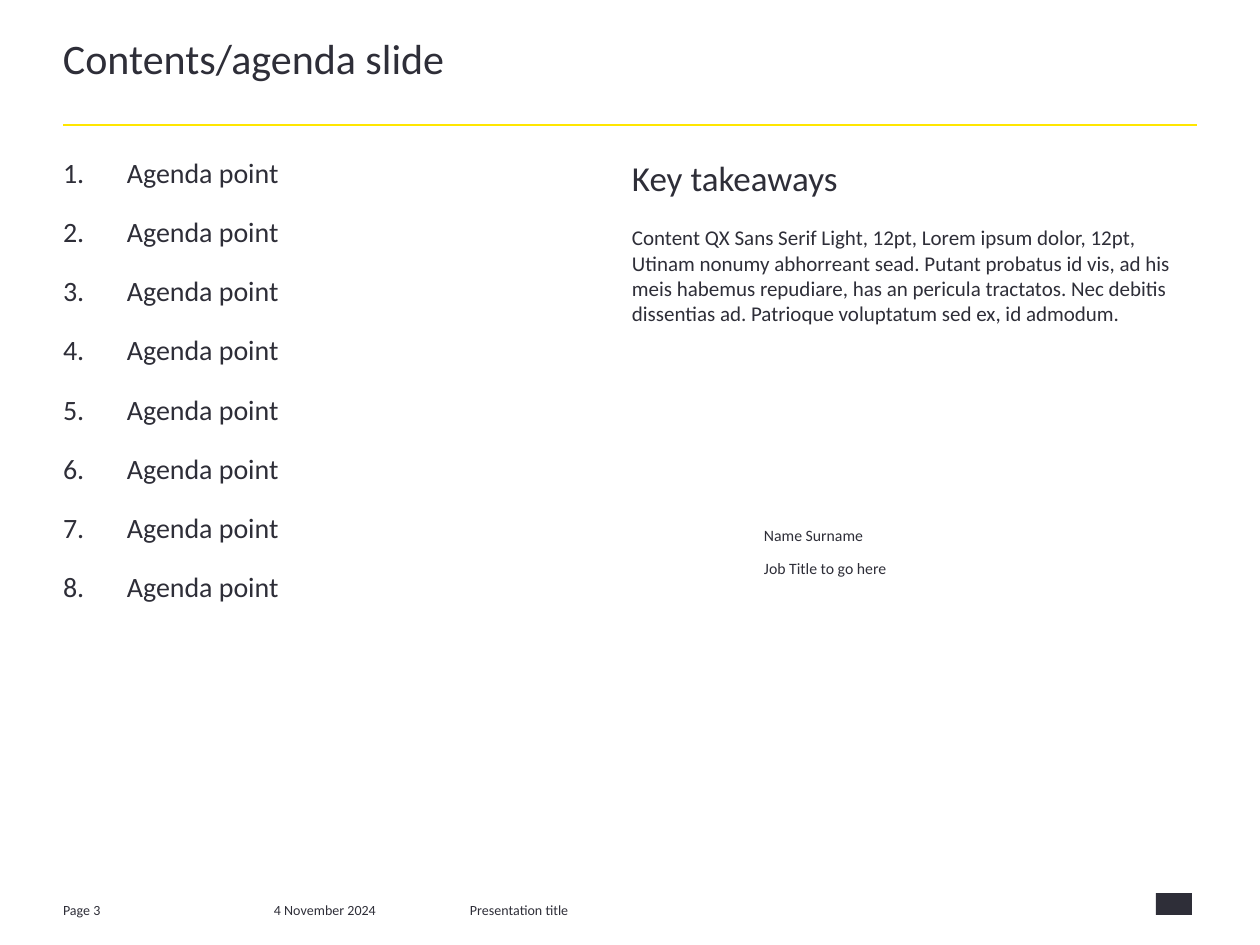
import pptx
import pptx.dml.color
import pptx.enum.shapes
import pptx.enum.text
import pptx.oxml.ns
import pptx.util
from lxml import etree

INK = pptx.dml.color.RGBColor(0x2E, 0x2E, 0x38)
YELLOW = pptx.dml.color.RGBColor(0xFF, 0xE6, 0x00)
FONT = "Calibri"
PX_PER_INCH = 126
MARGIN = 63
CONTENT_WIDTH = 1134
FOOTER_INSET = 13
PLAIN_TABLE_STYLE = "{2D5ABB26-0587-4C30-8999-92F81FD0307C}"
AGENDA = ["Agenda point"] * 8
TAKEAWAYS = (
    "Content QX Sans Serif Light, 12pt, Lorem ipsum dolor, 12pt, "
    "Utinam nonumy abhorreant sead. Putant probatus id vis, ad his "
    "meis habemus repudiare, has an pericula tractatos. Nec debitis "
    "dissentias ad. Patrioque voluptatum sed ex, id admodum."
)


def px(length):
    return pptx.util.Emu(round(length * 914400 / PX_PER_INCH))


def style_paragraph(paragraph, size):
    paragraph.font.name = FONT
    paragraph.font.size = pptx.util.Pt(size)
    paragraph.font.color.rgb = INK


def remove_margins(target):
    target.margin_left = target.margin_right = 0
    target.margin_top = target.margin_bottom = 0


def add_text(slide, left, top, width, height, text, size):
    shape = slide.shapes.add_textbox(px(left), px(top), px(width), px(height))
    frame = shape.text_frame
    frame.word_wrap = True
    remove_margins(frame)
    paragraph = frame.paragraphs[0]
    paragraph.text = text
    style_paragraph(paragraph, size)
    return frame


def add_header(slide, left, top, width):
    title = add_text(slide, left, top, width, 82, "Contents/agenda slide", 24)
    title.paragraphs[0].line_spacing = 0.85
    rule = slide.shapes.add_connector(
        pptx.enum.shapes.MSO_CONNECTOR.STRAIGHT,
        px(left), px(top + 85), px(left + width), px(top + 85),
    )
    rule.line.color.rgb = YELLOW
    rule.line.width = pptx.util.Pt(1.5)
    properties = rule._element.spPr
    etree.SubElement(properties, pptx.oxml.ns.qn("a:effectLst"))


def add_agenda(slide, left, top, width, height):
    number_width = 64
    frame = slide.shapes.add_table(
        len(AGENDA), 2, px(left), px(top), px(width), px(height)
    )
    table = frame.table
    table.first_row = False
    table.horz_banding = False
    style_id = table._tbl.tblPr.find(pptx.oxml.ns.qn("a:tableStyleId"))
    style_id.text = PLAIN_TABLE_STYLE
    table.columns[0].width = px(number_width)
    table.columns[1].width = px(width - number_width)
    for index, point in enumerate(AGENDA):
        table.rows[index].height = px(height / len(AGENDA))
        for column, text in enumerate((f"{index + 1}.", point)):
            cell = table.cell(index, column)
            cell.fill.background()
            remove_margins(cell)
            cell.text = text
            style_paragraph(cell.text_frame.paragraphs[0], 16)


def add_takeaways(slide, left, top, width):
    add_text(slide, left, top, width, 52, "Key takeaways", 20)
    add_text(slide, left, top + 68, width, 222, TAKEAWAYS, 12)


def add_speaker(slide, left, top, width):
    for index, text in enumerate(("Name Surname", "Job Title to go here")):
        add_text(slide, left, top + index * 33, width, 25, text, 9)


def add_footer(slide, left, top):
    entries = (
        (0, 92, "Page 3"),
        (211, 164, "4 November 2024"),
        (407, 426, "Presentation title"),
    )
    for offset, width, text in entries:
        frame = add_text(slide, left + offset, top, width, 25, text, 8)
        frame.margin_left = frame.margin_right = px(FOOTER_INSET)
        frame.vertical_anchor = pptx.enum.text.MSO_ANCHOR.MIDDLE


def add_emblem(slide, left, top, width, height):
    shape = slide.shapes.add_shape(
        pptx.enum.shapes.MSO_SHAPE.RECTANGLE,
        px(left), px(top), px(width), px(height),
    )
    shape.shadow.inherit = False
    shape.fill.solid()
    shape.fill.fore_color.rgb = INK
    shape.line.fill.background()


def main():
    presentation = pptx.Presentation()
    presentation.slide_width = px(1260)
    presentation.slide_height = px(945)
    slide = presentation.slides.add_slide(presentation.slide_layouts[6])
    add_header(slide, MARGIN, 40, CONTENT_WIDTH)
    add_agenda(slide, MARGIN, 157, 512, 473)
    add_takeaways(slide, 632, 157, 565)
    add_speaker(slide, 764, 526, 319)
    add_footer(slide, MARGIN - FOOTER_INSET, 897)
    add_emblem(slide, 1156, 893, 36, 22)
    presentation.save("out.pptx")


if __name__ == "__main__":
    main()
